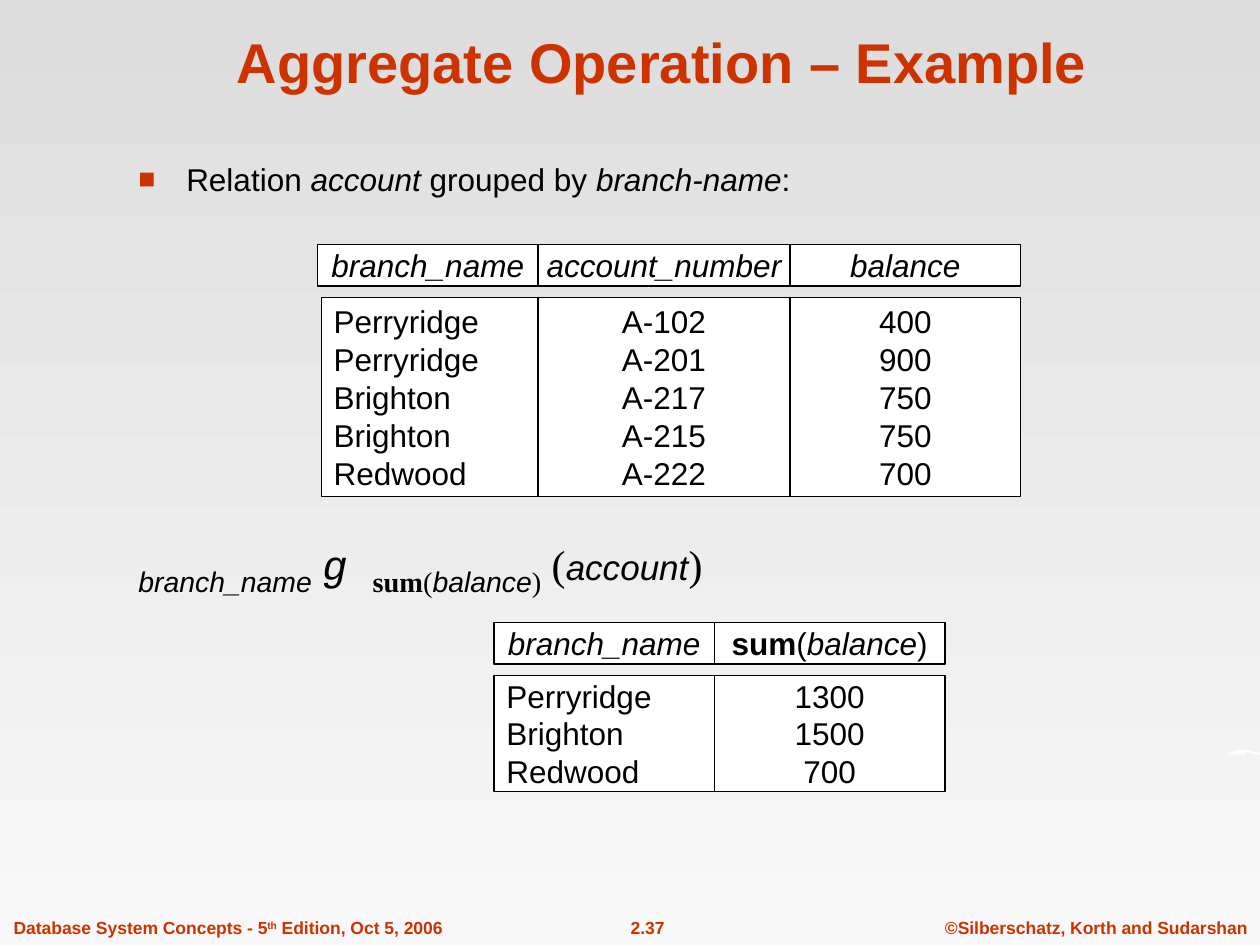
from lxml.etree import SubElement
from pptx import Presentation
from pptx.dml.color import RGBColor
from pptx.enum.shapes import MSO_SHAPE as SHAPE
from pptx.enum.text import MSO_ANCHOR as ANCHOR, PP_ALIGN as ALIGN
from pptx.oxml.ns import qn
from pptx.util import Inches, Pt

THEME = {
    "accent": "CC3300", "ink": "000000", "paper": "FFFFFF",
    "backdrop": ("DDDDDD", "F8F8F8"), "rule": 0.75,
}
SANS, SERIF, MONO = "Arial", "Times New Roman", "Courier New"
STYLES = {
    "title": dict(size=32, bold=True, color="accent"),
    "footer": dict(size=10, bold=True, color="accent"),
    "footer sup": dict(size=10, bold=True, color="accent", baseline=30),
    "body": dict(size=18),
    "body i": dict(size=18, italic=True),
    "body b": dict(size=18, bold=True),
    "sub sans": dict(size=28, italic=True, baseline=-25),
    "sub serif": dict(size=28, name=SERIF, baseline=-25),
    "sub bold": dict(size=28, name=SERIF, bold=True, baseline=-25),
    "operator": dict(size=24, name=MONO, italic=True),
    "paren": dict(size=24, name=SERIF),
    "argument": dict(size=20, italic=True),
}

WIDTH, HEIGHT = 10, 7.5
FOOTER_H = 0.27
TITLE = [("Aggregate Operation – Example", "title")]
BULLET = [("Relation ", "body"), ("account", "body i"), (" grouped by ", "body"),
          ("branch-name", "body i"), (":", "body")]
FORMULA = [("branch_name", "sub sans"), (" ", "paren"), ("g ", "operator"),
           ("sum", "sub bold"), ("(", "sub serif"), ("balance", "sub sans"),
           (")", "sub serif"), (" (", "paren"), ("account", "argument"), (")", "paren")]
FOOTERS = [  # left, width, alignment, runs
    (7.35, 2.7, ALIGN.CENTER, [("©Silberschatz, Korth and Sudarshan", "footer")]),
    (4.65, 0.98, ALIGN.CENTER, [("2.37", "footer")]),
    (0.01, 3.8, ALIGN.LEFT, [("Database System Concepts - 5", "footer"),
                             ("th", "footer sup"), (" Edition, Oct 5, 2006", "footer")]),
]

NAME_W, NUMBER_W, BALANCE_W = 1.75, 2, 1.83
HEAD_H, BODY_OFFSET = 0.33, 0.42
NAME_HEAD = [("branch_name", "body i")]
RELATIONS = [
    dict(left=2.52, top=1.94, body_h=1.58, first_shift=0.03, columns=[
        (NAME_W, NAME_HEAD,
         ["Perryridge", "Perryridge", "Brighton", "Brighton", "Redwood"]),
        (NUMBER_W, [("account_number", "body i")],
         ["A-102", "A-201", "A-217", "A-215", "A-222"]),
        (BALANCE_W, [("balance", "body i")], ["400", "900", "750", "750", "700"]),
    ]),
    dict(left=3.92, top=4.94, body_h=0.92, first_shift=0, columns=[
        (NAME_W, NAME_HEAD, ["Perryridge", "Brighton", "Redwood"]),
        (BALANCE_W, [("sum", "body b"), ("(", "body"), ("balance", "body i"),
                     (")", "body")], ["1300", "1500", "700"]),
    ]),
]
SWOOSH = [(9.75, 6.01), (9.76, 5.98), (9.79, 5.96), (9.83, 5.95), (9.87, 5.95),
          (9.92, 5.96), (9.97, 5.97), (10, 5.98), (9.98, 5.99), (9.94, 5.98),
          (9.88, 5.97), (9.88, 6), (9.85, 5.97), (9.85, 6), (9.82, 5.97),
          (9.83, 6), (9.8, 5.98), (9.77, 5.99)]


def rgb(key):
    return RGBColor.from_string(THEME.get(key, key))


def write(sp, paragraphs, align=ALIGN.LEFT, anchor=ANCHOR.TOP, wrap=True, before=0):
    """Fill a shape with paragraphs, each a list of (text, style) runs."""
    tf = sp.text_frame
    tf.word_wrap, tf.vertical_anchor = wrap, anchor
    for i, runs in enumerate(paragraphs):
        p = tf.paragraphs[0] if i == 0 else tf.add_paragraph()
        p.alignment, p.space_before = align, Pt(before)
        for text, style in runs:
            r = p.add_run()
            r.text = text
            fmt = dict(name=SANS, bold=False, italic=False, color="ink") | STYLES[style]
            r.font.color.rgb = rgb(fmt.pop("color"))
            fmt["size"] = Pt(fmt["size"])
            baseline = fmt.pop("baseline", 0)
            if baseline:
                r.font._element.set("baseline", str(baseline * 1000))
            for key, value in fmt.items():
                setattr(r.font, key, value)


def add_text(slide, box, runs, **layout):
    sp = slide.shapes.add_textbox(*map(Inches, box))
    write(sp, [runs], **layout)
    return sp


def add_cell(slide, box, paragraphs, align):
    sp = slide.shapes.add_shape(SHAPE.RECTANGLE, *map(Inches, box))
    sp.shadow.inherit = False
    sp.fill.solid()
    sp.fill.fore_color.rgb = rgb("paper")
    sp.line.color.rgb = rgb("ink")
    sp.line.width = Pt(THEME["rule"])
    write(sp, paragraphs, align, ANCHOR.MIDDLE, wrap=False)


def add_relation(slide, left, top, body_h, first_shift, columns):
    """Draw the header row, then one tall cell per column below it."""
    headers, bodies, x = [], [], left
    for i, (width, head, values) in enumerate(columns):
        headers.append(((x, top, width, HEAD_H), [head], ALIGN.CENTER))
        shift, align = (0, ALIGN.CENTER) if i else (first_shift, ALIGN.LEFT)
        bodies.append(((x + shift, top + BODY_OFFSET, width, body_h),
                       [[(value, "body")] for value in values], align))
        x += width
    for cell in headers + bodies:
        add_cell(slide, *cell)


def add_bullet(p):
    pPr = p._p.get_or_add_pPr()
    pPr.set("marL", str(Inches(0.38)))
    pPr.set("indent", str(-Inches(0.38)))
    color = SubElement(pPr, qn("a:buClr"))
    SubElement(color, qn("a:srgbClr"), val=THEME["accent"])
    SubElement(pPr, qn("a:buSzPct"), val="90000")
    SubElement(pPr, qn("a:buFont"), typeface=SANS)
    SubElement(pPr, qn("a:buChar"), char="■")


def add_swoosh(slide):
    points = [(Inches(x), Inches(y)) for x, y in SWOOSH]
    builder = slide.shapes.build_freeform(*points[0])
    builder.add_line_segments(points[1:], close=True)
    sp = builder.convert_to_shape()
    sp.shadow.inherit = False
    sp.fill.solid()
    sp.fill.fore_color.rgb = rgb("paper")
    sp.line.fill.background()


def main():
    prs = Presentation()
    prs.slide_width, prs.slide_height = Inches(WIDTH), Inches(HEIGHT)
    slide = prs.slides.add_slide(prs.slide_layouts[6])
    fill = slide.background.fill
    fill.gradient()
    fill.gradient_angle = 270
    for stop, color in zip(fill.gradient_stops, THEME["backdrop"]):
        stop.color.rgb = rgb(color)

    for left, width, align, runs in FOOTERS:
        add_text(slide, (left, HEIGHT - FOOTER_H, width, FOOTER_H), runs,
                 align=align, wrap=False, before=6.2)
    add_swoosh(slide)
    add_text(slide, (0.84, 0.13, 8.83, 0.67), TITLE,
             align=ALIGN.CENTER, anchor=ANCHOR.BOTTOM)
    bullet = add_text(slide, (1, 1.22, 7.51, 0.45), BULLET, before=7.9)
    add_bullet(bullet.text_frame.paragraphs[0])
    add_text(slide, (1, 4.17, 7.69, 0.64), FORMULA)
    for relation in RELATIONS:
        add_relation(slide, **relation)
    prs.save("out.pptx")


if __name__ == "__main__":
    main()
